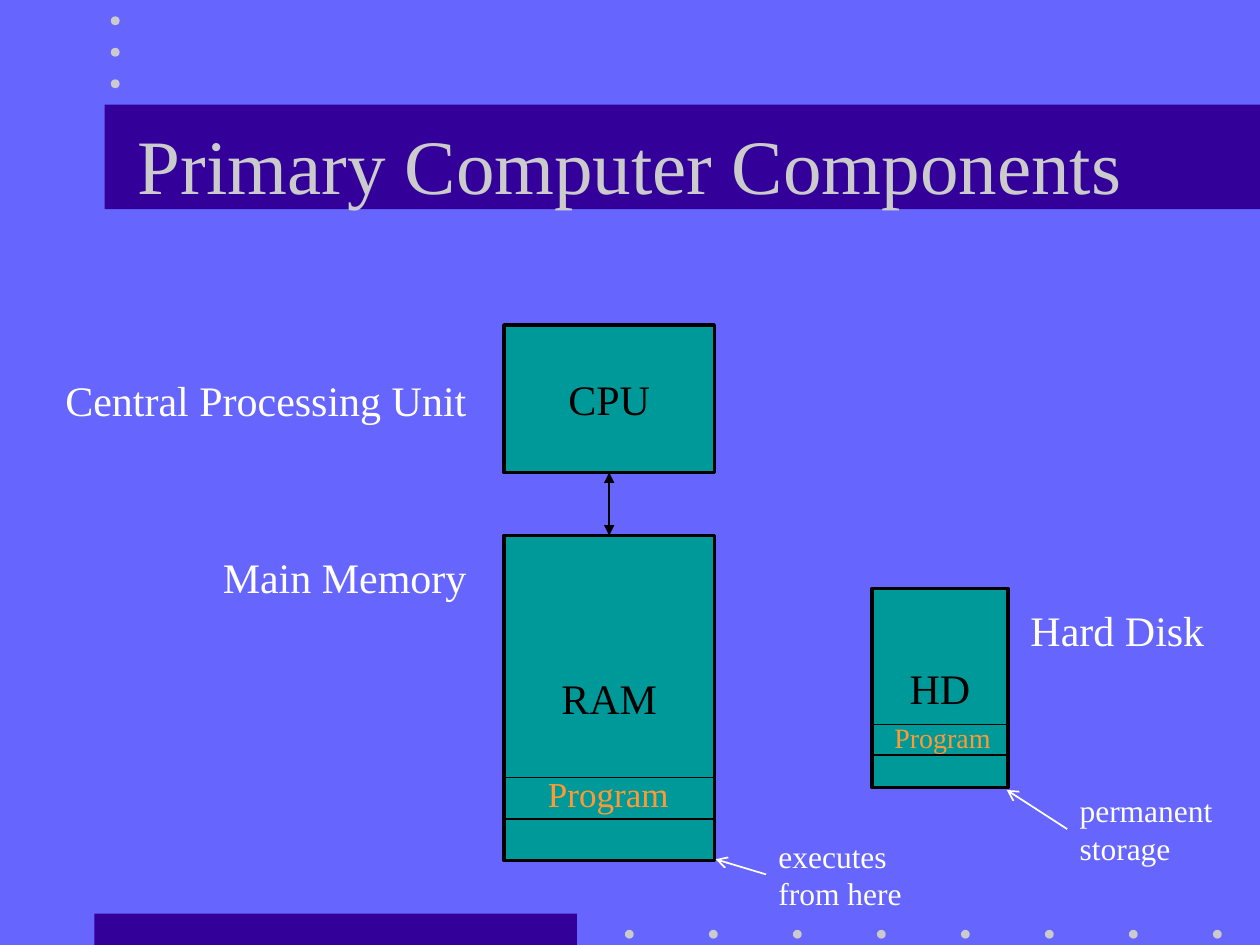
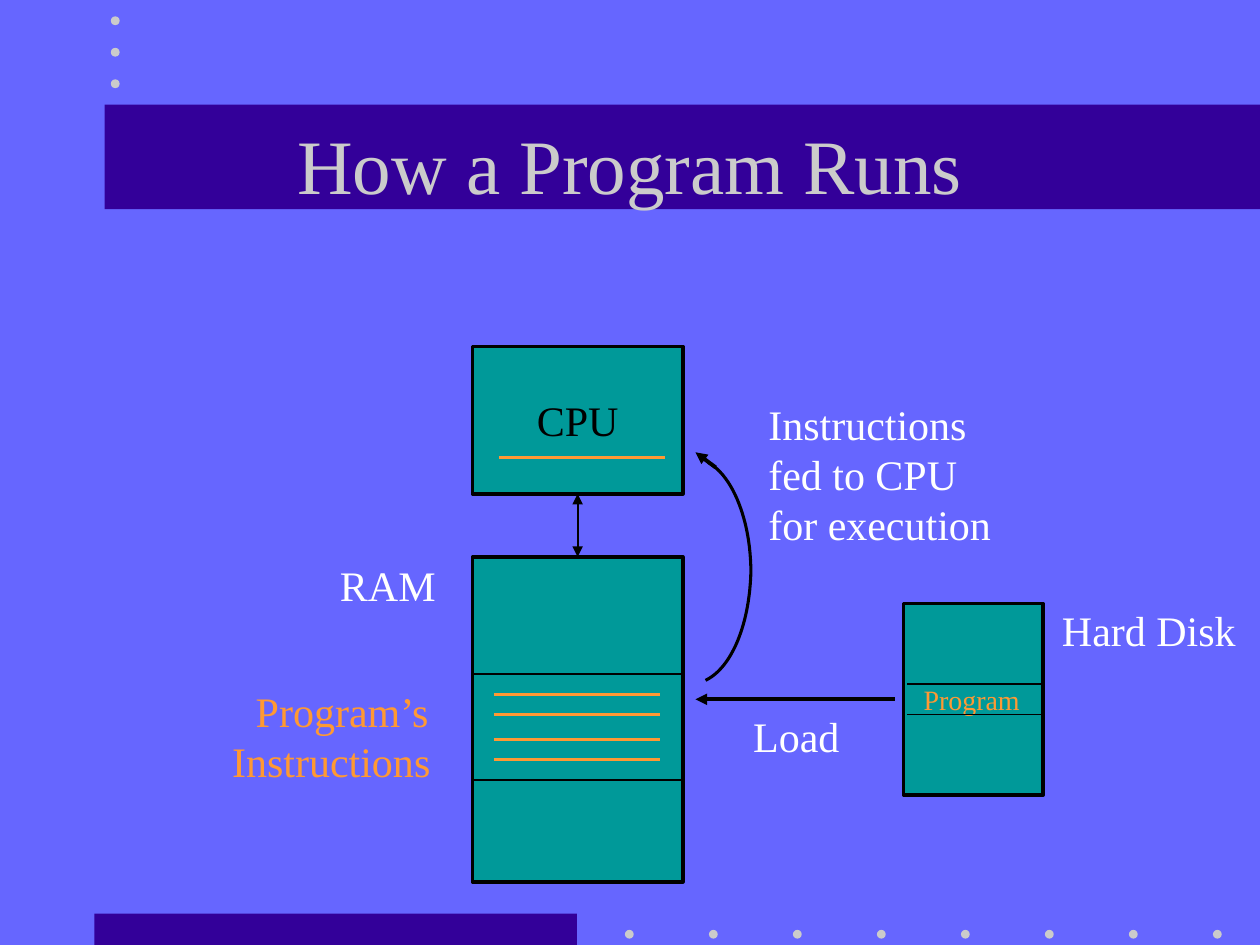
from lxml.etree import SubElement
from pptx import Presentation
from pptx.dml.color import RGBColor
from pptx.enum.shapes import MSO_CONNECTOR, MSO_SHAPE
from pptx.enum.text import MSO_ANCHOR, PP_ALIGN
from pptx.oxml.ns import qn
from pptx.util import Inches, Pt

COLORS = {
    "background": "6666FF",
    "band": "330099",
    "pale": "CBCBCB",
    "unit": "009999",
    "black": "000000",
    "white": "FFFFFF",
    "orange": "FF9933",
}
FONT = "Times New Roman"
THIN, MEDIUM, BOX_LINE, THICK = 1, 1.5, 2, 2.25
UNIT_WIDTH, CPU_HEIGHT, RAM_HEIGHT, BUS_LENGTH = 1.67, 1.17, 2.58, 0.5


def color(name):
    return RGBColor.from_string(COLORS[name])


def write(shape, text, size, color_name, align=PP_ALIGN.LEFT):
    """Set the text of a shape; each line break starts a paragraph."""
    frame = shape.text_frame
    frame.text = text
    for para in frame.paragraphs:
        para.alignment = align
        for span in para.runs:
            span.font.name = FONT
            span.font.size = Pt(size)
            span.font.color.rgb = color(color_name)
    return frame


def add_solid(page, kind, left, top, width, height, fill):
    shape = page.shapes.add_shape(
        kind, Inches(left), Inches(top), Inches(width), Inches(height))
    shape.shadow.inherit = False
    shape.fill.solid()
    shape.fill.fore_color.rgb = color(fill)
    shape.line.fill.background()
    return shape


def add_unit(page, left, top, width, height, name=""):
    """A hardware box with a black outline and a centred name."""
    box = add_solid(page, MSO_SHAPE.RECTANGLE, left, top, width, height, "unit")
    box.line.color.rgb = color("black")
    box.line.width = Pt(BOX_LINE)
    if name:
        frame = write(box, name, 24, "black", PP_ALIGN.CENTER)
        frame.word_wrap = False
        frame.vertical_anchor = MSO_ANCHOR.MIDDLE
    return box


def add_label(page, text, left, top, width, height=0.5, size=24,
              color_name="white", align=PP_ALIGN.LEFT):
    box = page.shapes.add_textbox(
        Inches(left), Inches(top), Inches(width), Inches(height))
    frame = write(box, text, size, color_name, align)
    frame.word_wrap = True
    return frame


def add_line(page, start, end, color_name="black", width=THIN,
             head=None, tail=None):
    """A straight line; head and tail are arrowheads at start and end."""
    line = page.shapes.add_connector(
        MSO_CONNECTOR.STRAIGHT, *(Inches(value) for value in (*start, *end)))
    line.line.color.rgb = color(color_name)
    line.line.width = Pt(width)
    outline = line.line._get_or_add_ln()
    for tag, arrow in (("a:headEnd", head), ("a:tailEnd", tail)):
        if arrow:
            SubElement(outline, qn(tag), type=arrow)
    SubElement(line._element.spPr, qn("a:effectLst"))


def add_rules(page, left, width, heights, color_name="black", line_width=THIN):
    for y in heights:
        add_line(page, (left, y), (left + width, y), color_name, line_width)


def bezier(start, control_1, control_2, end, steps=24):
    """Points of a cubic curve, without its start."""
    points = []
    for step in range(1, steps + 1):
        t = step / steps
        weights = ((1 - t) ** 3, 3 * t * (1 - t) ** 2, 3 * t ** 2 * (1 - t), t ** 3)
        corners = (start, control_1, control_2, end)
        points.append(tuple(
            Inches(sum(w * corner[axis] for w, corner in zip(weights, corners)))
            for axis in (0, 1)))
    return points


def add_feed_curve(page):
    """The curved arrow from memory up to the processor."""
    top, middle, bottom = (5.62, 3.67), (5.96, 4.54), (5.6, 5.4)
    points = bezier(top, (5.82, 3.78), (5.96, 4.14), middle)
    points += bezier(middle, (5.95, 4.95), (5.81, 5.3), bottom)
    builder = page.shapes.build_freeform(Inches(top[0]), Inches(top[1]))
    builder.add_line_segments(points, close=False)
    curve = builder.convert_to_shape()
    curve.shadow.inherit = False
    curve.fill.background()
    curve.line.color.rgb = color("black")
    curve.line.width = Pt(1.75)
    add_line(page, (5.68, 3.71), (5.52, 3.59), width=THICK, tail="triangle")


def add_processor_and_memory(page, left, top, memory_name=""):
    """The CPU above the RAM, joined by a double arrow."""
    center = left + UNIT_WIDTH / 2
    cpu_bottom = top + CPU_HEIGHT
    ram_top = cpu_bottom + BUS_LENGTH
    add_unit(page, left, top, UNIT_WIDTH, CPU_HEIGHT, "CPU")
    add_unit(page, left, ram_top, UNIT_WIDTH, RAM_HEIGHT, memory_name)
    add_line(page, (center, cpu_bottom), (center, ram_top),
             head="triangle", tail="triangle")


def add_page(deck, title):
    """A page with background, bands, dots and title."""
    page = deck.slides.add_slide(deck.slide_layouts[6])
    page.background.fill.solid()
    page.background.fill.fore_color.rgb = color("background")

    # Footer band and title band
    add_solid(page, MSO_SHAPE.RECTANGLE, 0.75, 7.25, 3.83, 0.25, "band")
    add_solid(page, MSO_SHAPE.RECTANGLE, 0.83, 0.83, 9.17, 0.83, "band")

    # Dots along the bottom and at the top left
    dots = [(4.96 + i * 2 / 3, 7.38) for i in range(8)]
    dots += [(0.88, 0.13 + i * 0.25) for i in range(3)]
    for left, top in dots:
        add_solid(page, MSO_SHAPE.OVAL, left, top, 0.07, 0.07, "pale")

    frame = add_label(page, title, 0.75, 0.67, 8.5, 1.25, 44, "pale",
                      PP_ALIGN.CENTER)
    frame.vertical_anchor = MSO_ANCHOR.MIDDLE
    return page


def build_components(deck):
    page = add_page(deck, "Primary Computer Components")

    # Processor and memory
    add_processor_and_memory(page, 4, 2.58, "RAM")
    add_label(page, "Central Processing Unit", 0.42, 2.92, 3.83)
    add_label(page, "Main Memory", 1.67, 4.33, 2.17)
    add_rules(page, 4, UNIT_WIDTH, (6.17, 6.5))
    add_label(page, "Program", 4.25, 6.08, 1.42, 0.44, 20, "orange")

    # Hard disk
    add_unit(page, 6.92, 4.67, 1.08, 1.58, "HD")
    add_label(page, "Hard Disk", 8.08, 4.75, 1.58)
    add_label(page, "Program", 7, 5.67, 1, 0.37, 16, "orange")
    add_rules(page, 6.92, 1.07, (5.75, 5.99))

    # Remarks with arrows
    add_label(page, "executes from here", 6.08, 6.59, 1.2, 0.7, 18)
    add_label(page, "permanent storage", 8.47, 6.23, 1.4, 0.7, 18)
    add_line(page, (6.08, 6.94), (5.68, 6.82), "white", tail="arrow")
    add_line(page, (8.47, 6.58), (7.99, 6.27), "white", tail="arrow")


def build_program_run(deck):
    page = add_page(deck, "How a Program Runs")

    # Processor and memory
    add_processor_and_memory(page, 3.75, 2.75)
    add_label(page, "RAM", 2.6, 4.39, 1.04)
    add_rules(page, 3.76, UNIT_WIDTH, (5.35, 6.19))

    # Hard disk holding the program
    disk = add_unit(page, 7.17, 4.79, 1.11, 1.52)
    frame = write(disk, "Program", 16, "orange")
    frame.margin_left = Inches(0.16)
    frame.vertical_anchor = MSO_ANCHOR.MIDDLE
    add_rules(page, 7.2, 1.07, (5.43, 5.67))
    add_label(page, "Hard Disk", 8.33, 4.75, 1.67)

    # Loading into memory
    add_line(page, (7.1, 5.55), (5.52, 5.55), width=THICK, tail="triangle")
    add_label(page, "Load", 5.88, 5.59, 1)

    # Instructions in memory, and the one in the processor
    frame = add_label(page, "Program’s\nInstructions", 1.65, 5.39, 1.96, 0.9,
                      color_name="orange", align=PP_ALIGN.CENTER)
    indent = frame.paragraphs[0]._p.get_or_add_pPr()
    indent.set("marL", str(Inches(0.17)))
    indent.set("indent", "0")
    add_rules(page, 3.92, 1.32, (5.51, 5.67, 5.87, 6.03), "orange", MEDIUM)
    add_rules(page, 3.96, 1.32, (3.63,), "orange", MEDIUM)

    # Feeding the processor
    add_label(page, "Instructions fed to CPU for execution", 6, 3.11, 2.16, 1.3)
    add_feed_curve(page)


def main():
    deck = Presentation()
    deck.slide_width = Inches(10)
    deck.slide_height = Inches(7.5)
    build_components(deck)
    build_program_run(deck)
    deck.save("out.pptx")


main()
